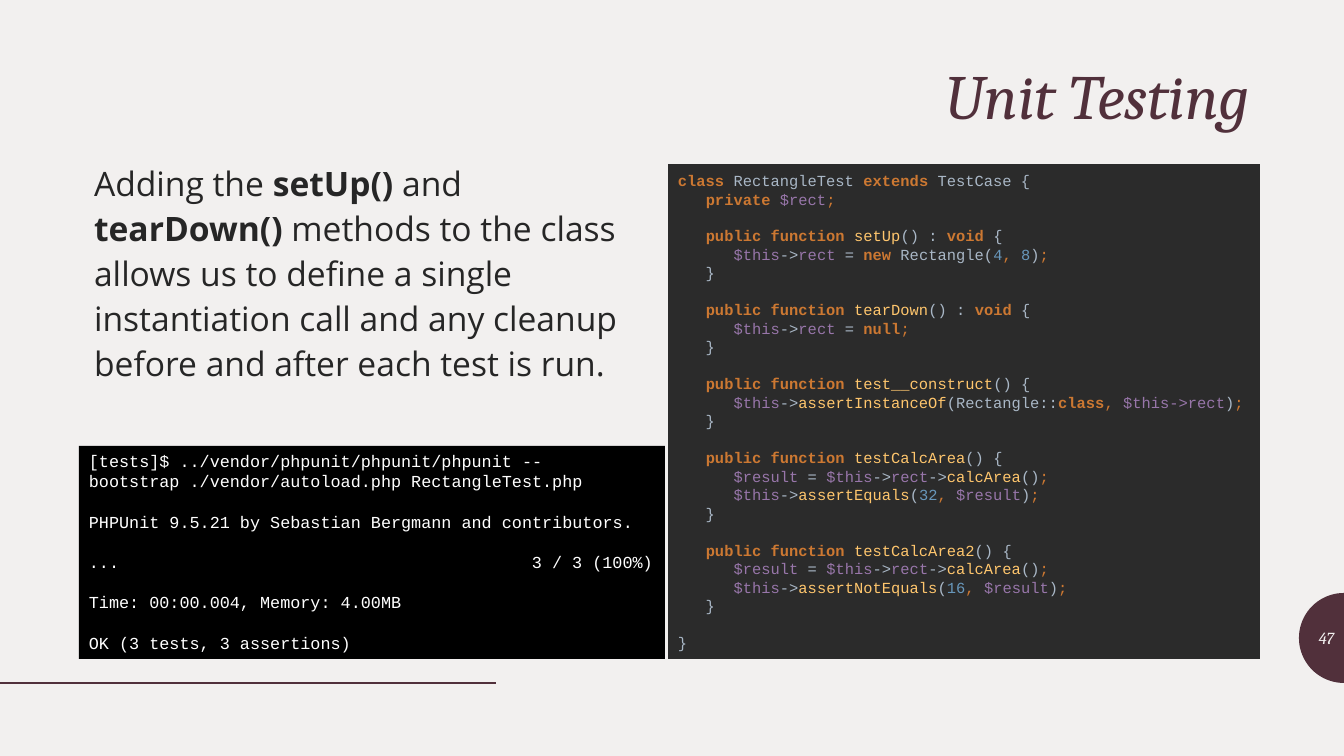
from itertools import groupby
from math import cos, pi, sin

from lxml.etree import SubElement
from pptx import Presentation
from pptx.dml.color import RGBColor
from pptx.enum.shapes import MSO_CONNECTOR, MSO_SHAPE
from pptx.enum.text import MSO_ANCHOR, MSO_AUTO_SIZE, PP_ALIGN
from pptx.oxml.ns import qn
from pptx.util import Emu, Pt

SCALE = 12192000 / 1344
COLOURS = {
    "page": "F2F0EF", "accent": "51303B", "body": "262626",
    "terminal": "000000", "output": "FFFFFF", "editor": "2B2B2B",
    "keyword": "CC7832", "separator": "CC7832", "plain": "A9B7C6",
    "variable": "9876AA", "function": "FFC66D", "number": "6897BB",
}
KEYWORDS = {"class", "extends", "private", "public", "function", "void", "new", "null"}
BODY = [("Adding the ", False), ("setUp()", True), (" and ", False), ("tearDown()", True),
        (" methods to the class allows us to define a single instantiation call "
         "and any cleanup before and after each test is run.", False)]
OUTPUT = [
    "[tests]$ ../vendor/phpunit/phpunit/phpunit --bootstrap ./vendor/autoload.php RectangleTest.php",
    "PHPUnit 9.5.21 by Sebastian Bergmann and contributors.",
    "...\t3 / 3 (100%)",
    "Time: 00:00.004, Memory: 4.00MB",
    "OK (3 tests, 3 assertions)",
]
CODE = """class RectangleTest extends TestCase {
   private $rect;

   public function setUp() : void {
      $this->rect = new Rectangle(4, 8);
   }

   public function tearDown() : void {
      $this->rect = null;
   }

   public function test__construct() {
      $this->assertInstanceOf(Rectangle::class, $this->rect);
   }

   public function testCalcArea() {
      $result = $this->rect->calcArea();
      $this->assertEquals(32, $result);
   }

   public function testCalcArea2() {
      $result = $this->rect->calcArea();
      $this->assertNotEquals(16, $result);
   }

}"""


def px(length):
    return Emu(round(length * SCALE))


def colour(name):
    return RGBColor.from_string(COLOURS[name])


def apply(target, values):
    for name, value in values.items():
        setattr(target, name, value)


def place(shape, box):
    apply(shape, dict(zip(("left", "top", "width", "height"), map(px, box))))


def add_span(para, text, tint, values):
    span = para.add_run()
    span.text = text
    apply(span.font, values)
    span.font.color.rgb = colour(tint)


def paint(shape, tint):
    shape.shadow.inherit = False
    shape.fill.solid()
    shape.fill.fore_color.rgb = colour(tint)
    shape.line.fill.background()


def add_panel(page, box, tint, anchor):
    panel = page.shapes.add_shape(MSO_SHAPE.RECTANGLE, *map(px, box))
    paint(panel, tint)
    apply(panel.text_frame, {"word_wrap": True, "vertical_anchor": anchor})
    return panel.text_frame


def add_title(page, box):
    title = page.shapes.title
    place(title, box)
    apply(title.text_frame, {"auto_size": MSO_AUTO_SIZE.NONE,
                             "vertical_anchor": MSO_ANCHOR.MIDDLE})
    para = title.text_frame.paragraphs[0]
    apply(para, {"alignment": PP_ALIGN.RIGHT, "line_spacing": 0.9})
    add_span(para, "Unit Testing", "accent", {"name": "Cambria", "size": Pt(45), "italic": True})


def add_body(page, box):
    body = page.placeholders[1]
    place(body, box)
    body.text_frame.auto_size = MSO_AUTO_SIZE.NONE
    para = body.text_frame.paragraphs[0]
    apply(para, {"line_spacing": 1.12, "space_before": Pt(9)})
    properties = para._p.get_or_add_pPr()
    properties.set("marL", "0")
    properties.set("indent", "0")
    SubElement(properties, qn("a:buNone"))
    for text, bold in BODY:
        add_span(para, text, "body", {"name": "Open Sans", "size": Pt(24), "bold": bold})


def add_terminal(page, box):
    frame = add_panel(page, box, "terminal", MSO_ANCHOR.TOP)
    for index, text in enumerate(OUTPUT):
        para = frame.add_paragraph() if index else frame.paragraphs[0]
        apply(para, {"alignment": PP_ALIGN.LEFT, "space_before": Pt(14.4 if index else 0)})
        if "\t" in text:
            stops = SubElement(para._p.get_or_add_pPr(), qn("a:tabLst"))
            SubElement(stops, qn("a:tab"), pos=str(px(443)), algn="l")
        add_span(para, text, "output", {"name": "Courier New", "size": Pt(12)})


def token_class(character):
    if character.isalnum() or character in "_$":
        return "word"
    return "separator" if character in ",;" else "plain"


def token_kind(token, before, after):
    if token in KEYWORDS:
        return "keyword"
    if token.startswith("$") or token == "rect":
        return "variable"
    if token == "->" and before.endswith(", $this"):
        return "variable"
    if token.isdigit():
        return "number"
    if token[0].islower() and after.startswith("("):
        return "function"
    return token_class(token[0]) if token_class(token[0]) != "word" else "plain"


def add_code(page, box):
    para = add_panel(page, box, "editor", MSO_ANCHOR.MIDDLE).paragraphs[0]
    para.alignment = PP_ALIGN.LEFT
    font = {"name": "Courier New", "size": Pt(11)}
    for index, line in enumerate(CODE.split("\n")):
        if index:
            para.add_line_break()
            SubElement(para._p[-1], qn("a:rPr"), sz="1100")
        start = 0
        for _, characters in groupby(line, token_class):
            token = "".join(characters)
            end = start + len(token)
            kind = token_kind(token, line[:start], line[end:])
            add_span(para, token, kind, {**font, "bold": kind == "keyword"})
            start = end


def add_page_number(page, box):
    left, top, width, height = box
    radius = height / 2
    arc = [(left + width - radius * sin(pi * step / 40),
            top + radius - radius * cos(pi * step / 40)) for step in range(41)]
    points = [(px(x), px(y)) for x, y in arc]
    builder = page.shapes.build_freeform(*points[0])
    builder.add_line_segments(points[1:], close=True)
    paint(builder.convert_to_shape(), "accent")
    label = page.shapes.add_textbox(*map(px, (left, top + 25, width, 40)))
    apply(label.text_frame, {"word_wrap": True, "vertical_anchor": MSO_ANCHOR.MIDDLE})
    para = label.text_frame.paragraphs[0]
    para.alignment = PP_ALIGN.RIGHT
    add_span(para, "47", "page", {"name": "Cambria", "size": Pt(12), "italic": True})


def add_footer_rule(page, box):
    left, top, width, height = box
    rule = page.shapes.add_connector(
        MSO_CONNECTOR.STRAIGHT, *map(px, (left, top, left + width, top + height)))
    rule.line.color.rgb = colour("accent")
    rule.line.width = Pt(2)
    SubElement(rule._element.spPr, qn("a:effectLst"))


def main():
    deck = Presentation()
    apply(deck, {"slide_width": px(1344), "slide_height": px(756)})
    page = deck.slides.add_slide(deck.slide_layouts[1])
    page.background.fill.solid()
    page.background.fill.fore_color.rgb = colour("page")
    add_footer_rule(page, (0, 683, 496, 0))
    add_page_number(page, (1299, 593, 45, 90))
    add_title(page, (84, 61, 1176, 77))
    add_body(page, (84, 153, 577, 518))
    add_terminal(page, (79, 446, 586, 213))
    add_code(page, (668, 164, 592, 495))
    deck.save("out.pptx")


if __name__ == "__main__":
    main()
